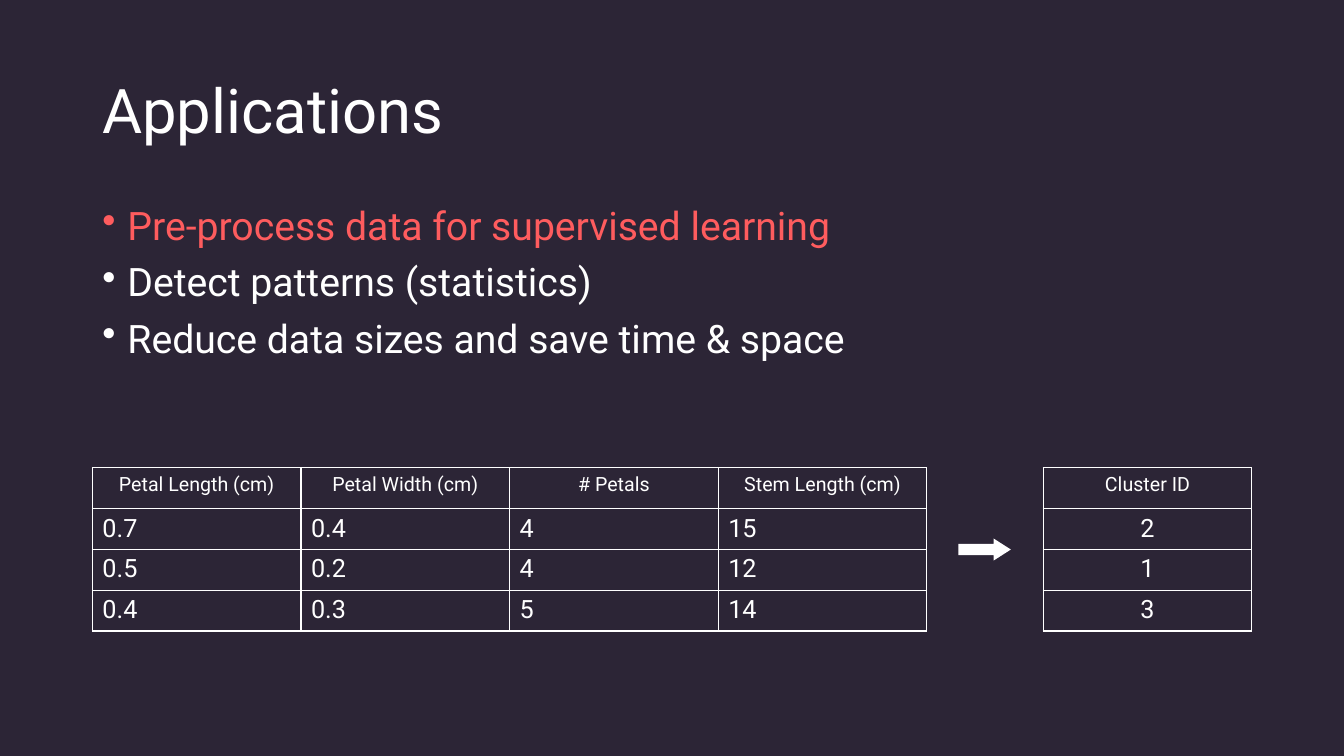
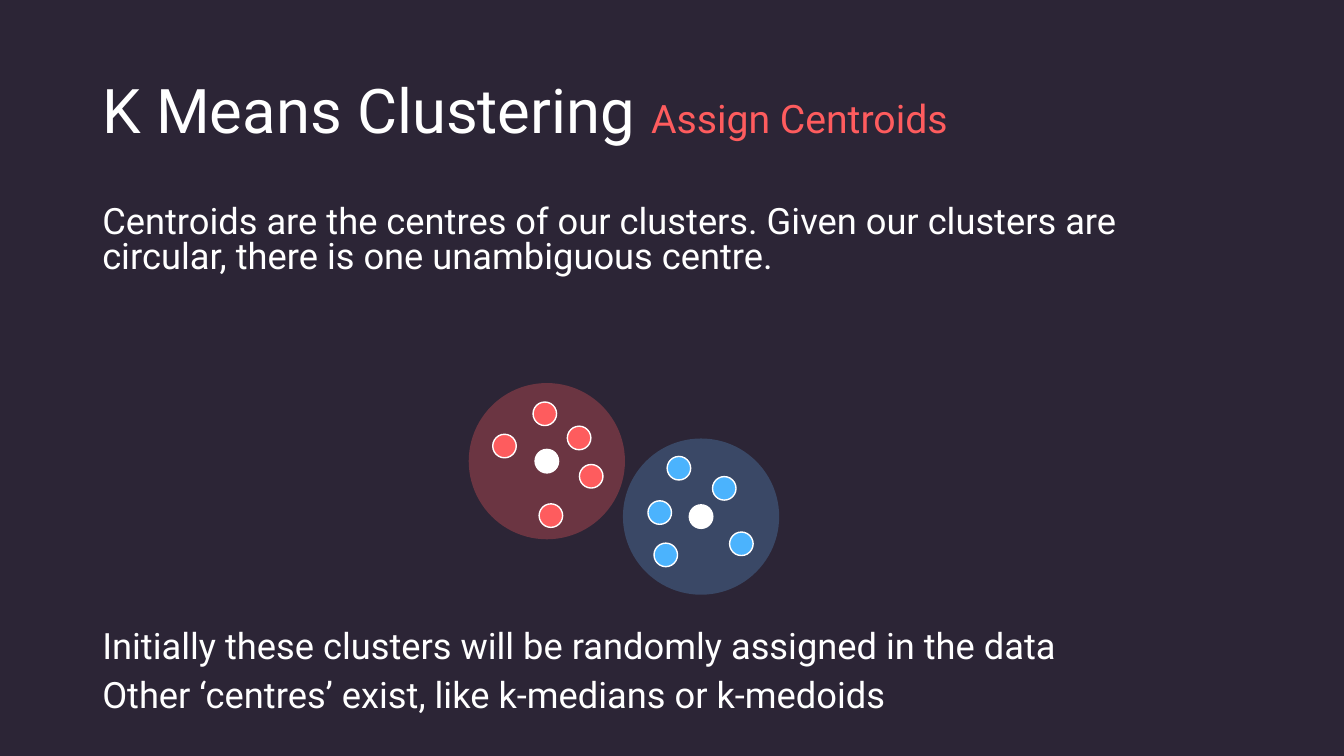
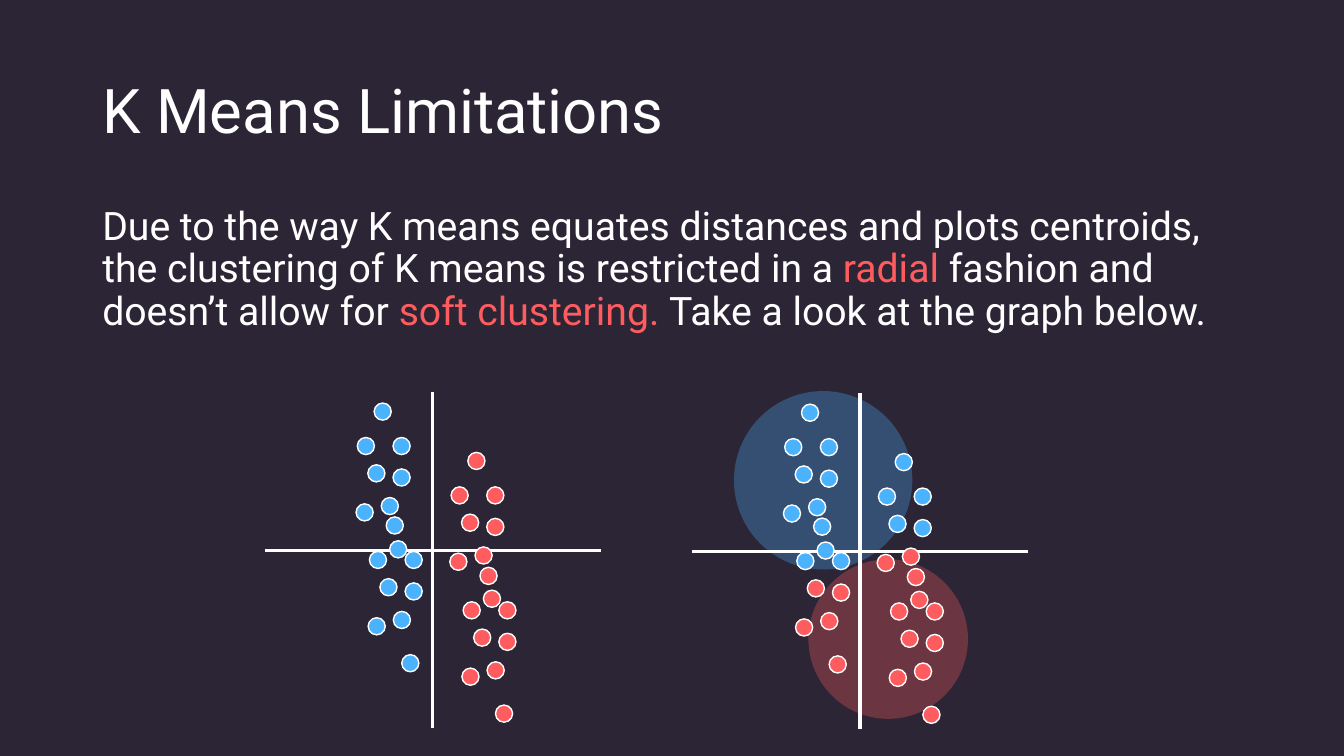
"""Build three dark slides on clustering."""
from lxml import etree
from pptx import Presentation
from pptx.dml.color import RGBColor
from pptx.enum.shapes import MSO_CONNECTOR, MSO_SHAPE
from pptx.enum.text import MSO_ANCHOR, PP_ALIGN
from pptx.oxml.ns import qn
from pptx.util import Inches, Pt

DARK = RGBColor(0x2C, 0x25, 0x36)
WHITE = RGBColor(0xFF, 0xFF, 0xFF)
RED = RGBColor(0xFE, 0x5C, 0x5E)
BLUE = RGBColor(0x4B, 0xB3, 0xFD)
STEEL = RGBColor(0x5B, 0x9B, 0xD5)
FONT = "Roboto"
COLS, ROWS = 160, 90
CELL = Inches(1 / 12)
OVAL, ARROW = MSO_SHAPE.OVAL, MSO_SHAPE.RIGHT_ARROW
LINE = MSO_CONNECTOR.STRAIGHT
TOP, MIDDLE = MSO_ANCHOR.TOP, MSO_ANCHOR.MIDDLE
LEFT, CENTER = PP_ALIGN.LEFT, PP_ALIGN.CENTER


def grid(*cells):
    """Turn grid cells into slide lengths."""
    return [round(n * CELL) for n in cells]


def node(parent, tag, **attrs):
    """Append an XML element to a parent."""
    return etree.SubElement(parent, qn(tag), attrs)


def write(frame, paras, size=28, color=WHITE, align=LEFT, space=1.0,
          before=0, gaps=None, bullet=None):
    """Write paragraphs, each a list of (text, own format) runs."""
    for i, runs in enumerate(paras):
        para = frame.paragraphs[0] if i == 0 else frame.add_paragraph()
        para.alignment = align
        para.line_spacing = space
        para.space_before = Pt((gaps or {}).get(i, before) if i else 0)
        if bullet:
            props = para._p.get_or_add_pPr()
            props.set("marL", str(Inches(0.25)))
            props.set("indent", str(-Inches(0.25)))
            node(props, "a:buChar", char=bullet)
        for text, own in runs:
            run = para.add_run()
            run.text = text
            run.font.name = FONT
            run.font.size = Pt(own.get("size", size))
            run.font.color.rgb = own.get("color", color)


def plain(*texts):
    """Make one plain run per paragraph."""
    return [[(text, {})] for text in texts]


class Deck:
    """Hold the shared style and the current slide."""

    def __init__(self):
        """Start an empty deck on the grid."""
        self.file = Presentation()
        self.file.slide_width, self.file.slide_height = grid(COLS, ROWS)
        self.slide = None

    def page(self, *title):
        """Add a dark slide with a title made of runs."""
        self.slide = self.file.slides.add_slide(self.file.slide_layouts[6])
        fill = self.slide.background.fill
        fill.solid()
        fill.fore_color.rgb = DARK
        self.text(4.8, 17.4, [title], anchor=MIDDLE, size=44, space=0.9)

    def text(self, top, height, paras, width=138, anchor=TOP, **style):
        """Add a text box on the left margin."""
        box = self.slide.shapes.add_textbox(*grid(11, top, width, height))
        frame = box.text_frame
        frame.word_wrap = True
        frame.vertical_anchor = anchor
        write(frame, paras, **style)

    def shape(self, kind, spot, color, alpha=None, edge=None):
        """Add a filled preset shape."""
        item = self.slide.shapes.add_shape(kind, *grid(*spot))
        item.shadow.inherit = False
        item.fill.solid()
        item.fill.fore_color.rgb = color
        if alpha:
            tint = item.fill._xPr.find(qn("a:solidFill"))[0]
            node(tint, "a:alpha", val=str(alpha * 1000))
        if edge:
            item.line.color.rgb = edge
            item.line.width = Pt(1)
        else:
            item.line.fill.background()
        return item

    def disc(self, x, y, size, color, **style):
        """Add a circle around a centre."""
        spot = (x - size / 2, y - size / 2, size, size)
        self.shape(OVAL, spot, color, **style)

    def dot(self, x, y, size, color):
        """Add a data point with a white rim."""
        self.disc(x, y, size, color, edge=WHITE)

    def halo(self, x, y, size, color):
        """Add a see-through cluster area."""
        self.disc(x, y, size, color, alpha=30)

    def rule(self, *ends):
        """Add a white axis line."""
        item = self.slide.shapes.add_connector(LINE, *grid(*ends))
        item.line.color.rgb = WHITE
        item.line.width = Pt(2.25)
        node(item._element.spPr, "a:effectLst")

    def table(self, left, top, rows, align=LEFT, col=24.84, row=4.86):
        """Add an outlined table with a small centred header."""
        wide = len(rows[0])
        spot = grid(left, top, col * wide, row * len(rows))
        table = self.slide.shapes.add_table(len(rows), wide, *spot).table
        table.first_row = table.horz_banding = False
        for i, texts in enumerate(rows):
            table.rows[i].height = grid(row)[0]
            for j, text in enumerate(texts):
                table.columns[j].width = grid(col)[0]
                self.cell(table.cell(i, j), text, *((18, align) if i else (14, CENTER)))

    def cell(self, cell, text, size, align):
        """Fill and outline one table cell."""
        write(cell.text_frame, plain(text), size=size, align=align)
        props = cell._tc.get_or_add_tcPr()
        for side in "LRTB":
            line = node(props, f"a:ln{side}", w=str(Pt(1)))
            node(node(line, "a:solidFill"), "a:srgbClr", val=str(WHITE))
        cell.fill.background()


def uses(deck):
    """Build the applications slide."""
    deck.page(("Applications", {}))
    points = plain("Pre-process data for supervised learning",
                   "Detect patterns (statistics)",
                   "Reduce data sizes and save time & space")
    points[0][0][1]["color"] = RED
    deck.text(24, 19.7, points, space=0.9, before=10, bullet="•")
    deck.table(11, 55.7, [
        ("Petal Length (cm)", "Petal Width (cm)", "# Petals", "Stem Length (cm)"),
        ("0.7", "0.4", "4", "15"),
        ("0.5", "0.2", "4", "12"),
        ("0.4", "0.3", "5", "14")])
    deck.table(124.2, 55.7, [("Cluster ID",), ("2",), ("1",), ("3",)], align=CENTER)
    arrow = deck.shape(ARROW, (114.1, 64.1, 6.24, 2.64), WHITE)
    arrow.adjustments[1] = 0.78


def assign(deck):
    """Build the centroids slide."""
    groups = [
        (65.1, 54.9, RED, RED, [(-5.04, -1.8), (-0.24, -5.64), (3.84, -2.76),
                                (5.28, 1.8), (0.48, 6.48)]),
        (83.46, 61.5, BLUE, STEEL, [(-2.64, -5.76), (-4.92, -0.48), (2.76, -3.36),
                                    (-4.2, 4.56), (4.8, 3.24)])]
    deck.page(("K Means Clustering ", {}),
              ("Assign Centroids", {"size": 28, "color": RED}))
    for x, y, color, tint, spots in groups:
        deck.halo(x, y, 18.6, tint)
        for dx, dy in spots:
            deck.dot(x + dx, y + dy, 2.8, color)
        deck.dot(x, y, 2.8, WHITE)
    deck.text(24, 62, plain(
        "Centroids are the centres of our clusters. Given our clusters are "
        "circular, there is one unambiguous centre.",
        "Initially these clusters will be randomly assigned in the data",
        "Other ‘centres’ exist, like k-medians or k-medoids"),
        size=25.9, space=0.8, before=10, gaps={1: 254})


def graph(deck, x, y, blues, halos=()):
    """Plot four runs of points; blues counts the blue ones in each."""
    starts = [(-5.94, -16.5), (-4.5, -2.94), (5.22, -10.62), (6.66, 3.06)]
    trail = [(0, 0), (-2, 4.1), (2.25, 4.1), (2.25, 7.85),
             (-0.75, 7.35), (0.85, 11.25), (-2.15, 12), (1.85, 16.4)]
    for dx, dy, size, color in halos:
        deck.halo(x + dx, y + dy, size, color)
    deck.rule(x - 20, y, x + 20, y)
    deck.rule(x, y - 18.8, x, y + 21.2)
    for (left, top), count in zip(starts, blues):
        for i, (dx, dy) in enumerate(trail):
            color = BLUE if i < count else RED
            deck.dot(x + left + dx, y + top + dy, 2.04, color)


def limits(deck):
    """Build the limitations slide."""
    deck.page(("K Means Limitations", {}))
    deck.text(24, 24.8, [[
        ("Due to the way K means equates distances and plots centroids, "
         "the clustering of K means is restricted in a ", {}),
        ("radial ", {"color": RED}),
        ("fashion and doesn’t allow for ", {}),
        ("soft clustering. ", {"color": RED}),
        ("Take a look at the graph below.", {})]], width=140.2, space=0.9)
    graph(deck, 51.5, 65.5, (8, 8, 0, 0))
    graph(deck, 102.38, 65.64, (8, 3, 5, 0),
          [(-4.38, -8.46, 21.24, BLUE), (3.36, 10.44, 19, RED)])


def main():
    """Build and save the deck."""
    deck = Deck()
    for build in (uses, assign, limits):
        build(deck)
    deck.file.save("out.pptx")


if __name__ == "__main__":
    main()
